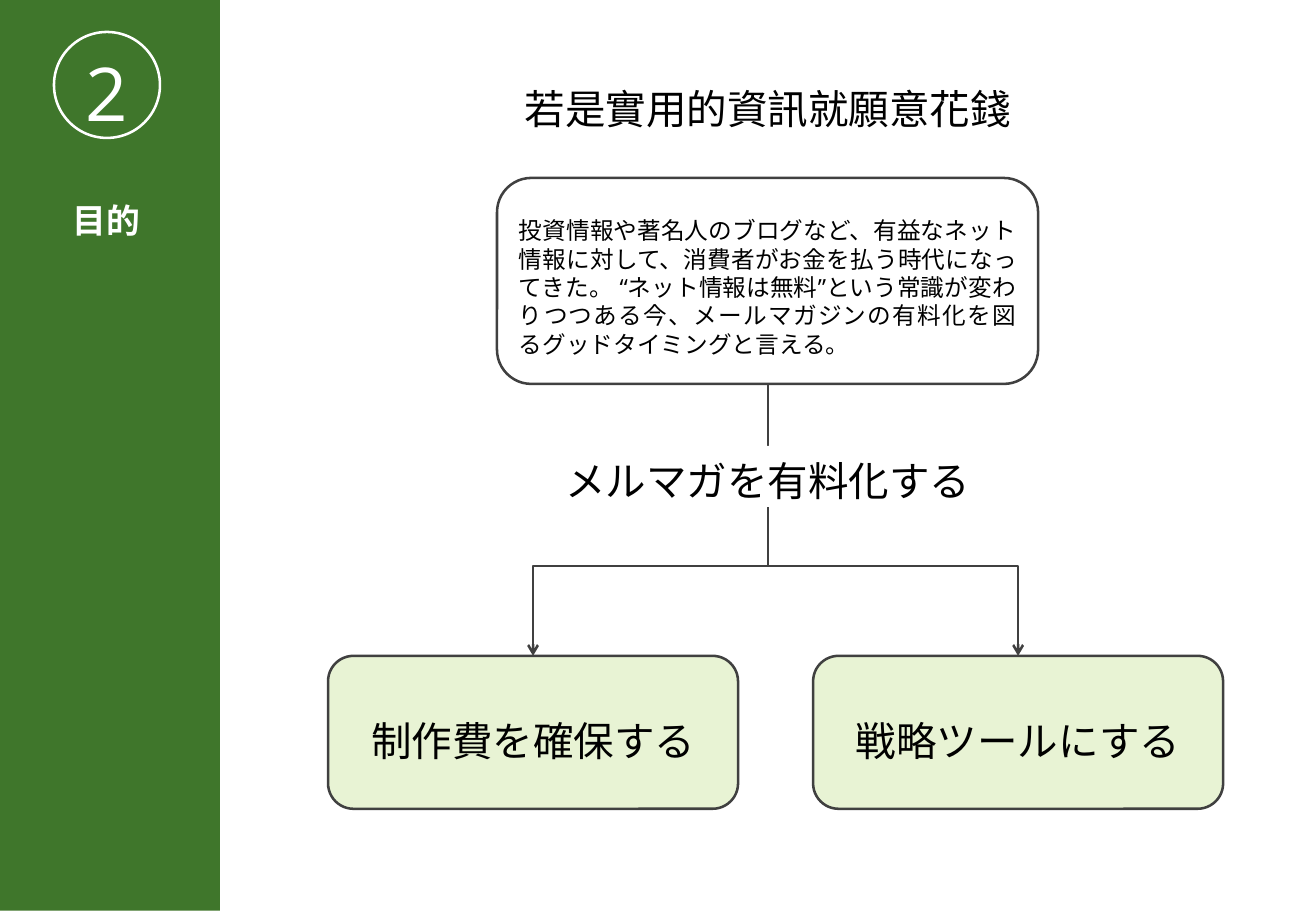
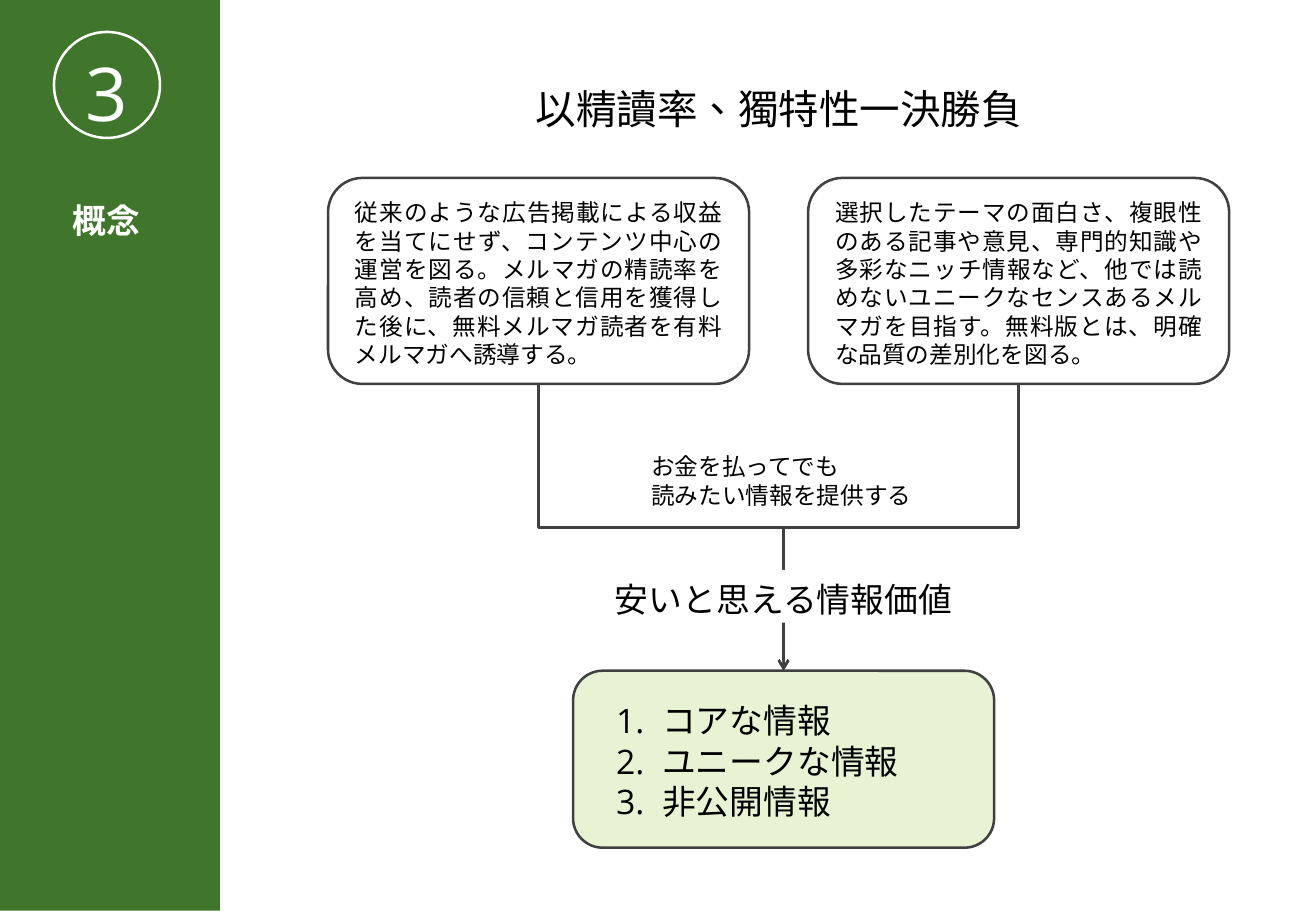
from lxml import etree
from pptx import Presentation
from pptx.dml.color import RGBColor
from pptx.enum.shapes import MSO_CONNECTOR, MSO_SHAPE
from pptx.enum.text import PP_ALIGN
from pptx.oxml.ns import qn
from pptx.util import Emu, Inches, Pt

ELBOW = MSO_CONNECTOR.ELBOW
RECTANGLE = MSO_SHAPE.RECTANGLE
ROUNDED = MSO_SHAPE.ROUNDED_RECTANGLE
OVAL = MSO_SHAPE.OVAL
LEFT, CENTER, JUSTIFY = PP_ALIGN.LEFT, PP_ALIGN.CENTER, PP_ALIGN.JUSTIFY

GREEN, PALE_GREEN, GRAY = "3F762B", "E8F3D4", "404040"
WHITE, BLACK = "FFFFFF", "000000"
BODY_FONT, TITLE_FONT = "Open Sans", "Noto Sans CJK JP"

EMU_PER_PIXEL = 914400 / 121.5
BLANK_LAYOUT = 6
LINE_WIDTH = 1.5
LINE_SPACING = 1.2
TEXT_DROP = 0.1  # extra top inset, in ems
LIST_INDENT = 46

# Rows shared by both slides
TITLE_TOP = 74
MESSAGE_TOP, MESSAGE_HEIGHT = 178, 206
MESSAGE_BOTTOM = MESSAGE_TOP + MESSAGE_HEIGHT


def px(pixels):
    return Emu(round(pixels * EMU_PER_PIXEL))


def color(hex_string):
    return RGBColor.from_string(hex_string)


def add_box(slide, kind, left, top, width, height, fill=None, line=None):
    shape = slide.shapes.add_shape(kind, px(left), px(top), px(width), px(height))
    shape.shadow.inherit = False
    if fill:
        shape.fill.solid()
        shape.fill.fore_color.rgb = color(fill)
    else:
        shape.fill.background()
    if line:
        shape.line.color.rgb = color(line)
        shape.line.width = Pt(LINE_WIDTH)
    else:
        shape.line.fill.background()
    return shape


def format_run(run, size, font, text_color, bold, language):
    run.font.size = Pt(size)
    run.font.bold = bold
    run.font.color.rgb = color(text_color)
    run.font.name = font
    properties = run._r.get_or_add_rPr()
    properties.set("lang", language)
    etree.SubElement(properties, qn("a:ea"), typeface=font)


def number_paragraph(paragraph):
    properties = paragraph._p.get_or_add_pPr()
    properties.set("marL", str(px(LIST_INDENT)))
    properties.set("indent", str(-px(LIST_INDENT)))
    etree.SubElement(properties, qn("a:buFont"), typeface=BODY_FONT)
    etree.SubElement(properties, qn("a:buAutoNum"), type="arabicPeriod")


def add_text(slide, text, left, top, width, height, size, align=CENTER,
             font=BODY_FONT, text_color=BLACK, bold=False, fill=None,
             numbered=False, language="ja-JP"):
    text_box = slide.shapes.add_textbox(px(left), px(top), px(width), px(height))
    if fill:
        text_box.fill.solid()
        text_box.fill.fore_color.rgb = color(fill)
    text_frame = text_box.text_frame
    text_frame.word_wrap = True
    text_frame.margin_top = px(6) + Pt(size * TEXT_DROP)
    text_frame.text = text
    for paragraph in text_frame.paragraphs:
        paragraph.alignment = align
        paragraph.line_spacing = Pt(size * LINE_SPACING)
        if numbered:
            number_paragraph(paragraph)
        for run in paragraph.runs:
            format_run(run, size, font, text_color, bold, language)


def add_elbow_arrow(slide, start_x, start_y, end_x, end_y, bend):
    """Draw a down-across-down arrow; bend is the share of the drop before the turn."""
    drop, run = end_y - start_y, abs(end_x - start_x)
    left = (start_x + end_x - drop) / 2
    top = (start_y + end_y - run) / 2
    right, bottom = left + drop, top + run
    # The frame lies on its side, and is turned upright by the rotation
    if end_x < start_x:
        begin_x, finish_x, degrees = left, right, 90
    else:
        begin_x, finish_x, degrees = right, left, 270
    connector = slide.shapes.add_connector(
        ELBOW, px(begin_x), px(top), px(finish_x), px(bottom))
    connector.line.color.rgb = color(GRAY)
    connector.line.width = Pt(LINE_WIDTH)
    properties = connector._element.spPr
    properties.find(qn("a:xfrm")).set("rot", str(degrees * 60000))
    etree.SubElement(properties.find(qn("a:prstGeom")).find(qn("a:avLst")),
                     qn("a:gd"), name="adj1", fmla=f"val {round(bend * 100000)}")
    etree.SubElement(properties.find(qn("a:ln")), qn("a:tailEnd"), type="arrow")
    etree.SubElement(properties, qn("a:effectLst"))


def add_section_slide(presentation, number, section, title, title_left, title_width):
    slide = presentation.slides.add_slide(presentation.slide_layouts[BLANK_LAYOUT])
    # Side band with the section number and name
    add_box(slide, RECTANGLE, 0, 0, 220, 911, fill=GREEN)
    add_text(slide, number, 59, 34, 96, 102, 44, text_color=WHITE)
    add_text(slide, section, -21, 190, 255, 53, 20, text_color=WHITE, bold=True)
    add_box(slide, OVAL, 54, 32, 106, 106, line=WHITE)
    # Title
    add_text(slide, title, title_left, TITLE_TOP, title_width, 61, 24,
             font=TITLE_FONT, language="zh-TW")
    return slide


def build_purpose_slide(presentation):
    slide = add_section_slide(presentation, "2", "目的",
                              "若是實用的資訊就願意花錢", 438, 659)
    # Message
    add_box(slide, ROUNDED, 497, MESSAGE_TOP, 541, MESSAGE_HEIGHT, line=GRAY)
    add_text(slide, "投資情報や著名人のブログなど、有益なネット情報に対して、"
             "消費者がお金を払う時代になってきた。 “ネット情報は無料”という"
             "常識が変わりつつある今、メールマガジンの有料化を図る"
             "グッドタイミングと言える。",
             507, 208, 521, 156, 14, JUSTIFY)
    # Two goals, each reached by an arrow
    goal_top, goal_width = 656, 410
    for left, goal in ((328, "制作費を確保する"), (813, "戦略ツールにする")):
        add_elbow_arrow(slide, 768, MESSAGE_BOTTOM, left + goal_width / 2, goal_top, 0.67)
        add_box(slide, ROUNDED, left, goal_top, goal_width, 153, PALE_GREEN, GRAY)
        add_text(slide, goal, left + 19, 706, goal_width - 38, 61, 24)
    # Step on the arrows
    add_text(slide, "メルマガを有料化する", 552, 446, 431, 61, 24, fill=WHITE)


def build_concept_slide(presentation):
    slide = add_section_slide(presentation, "3", "概念",
                              "以精讀率、獨特性一決勝負", 458, 641)
    # Two messages that lead to one result
    box_width, result_left, result_top = 421, 573, 671
    messages = (
        (328, "従来のような広告掲載による収益を当てにせず、コンテンツ中心の"
              "運営を図る。メルマガの精読率を高め、読者の信頼と信用を獲得した後に、"
              "無料メルマガ読者を有料メルマガへ誘導する。"),
        (808, "選択したテーマの面白さ、複眼性のある記事や意見、専門的知識や"
              "多彩なニッチ情報など、他では読めないユニークなセンスあるメルマガを"
              "目指す。無料版とは、明確な品質の差別化を図る。"),
    )
    for left, message in messages:
        add_box(slide, ROUNDED, left, MESSAGE_TOP, box_width, MESSAGE_HEIGHT, line=GRAY)
        add_text(slide, message, left + 15, 190, 391, 183, 14, JUSTIFY)
        add_elbow_arrow(slide, left + box_width / 2, MESSAGE_BOTTOM,
                        result_left + box_width / 2, result_top, 0.5)
    # Steps on the arrows
    add_text(slide, "お金を払ってでも\v読みたい情報を提供する", 639, 444, 337, 69, 14, LEFT)
    add_text(slide, "安いと思える情報価値", result_left, 570, box_width, 53, 20, fill=WHITE)
    # Result
    add_box(slide, ROUNDED, result_left, result_top, box_width, 177, PALE_GREEN, GRAY)
    add_text(slide, "コアな情報\nユニークな情報\n非公開情報",
             604, 691, 361, 135, 20, JUSTIFY, numbered=True)


def main():
    presentation = Presentation()
    presentation.slide_width = Inches(10.83)
    presentation.slide_height = Inches(7.5)
    build_purpose_slide(presentation)
    build_concept_slide(presentation)
    presentation.save("out.pptx")


main()
